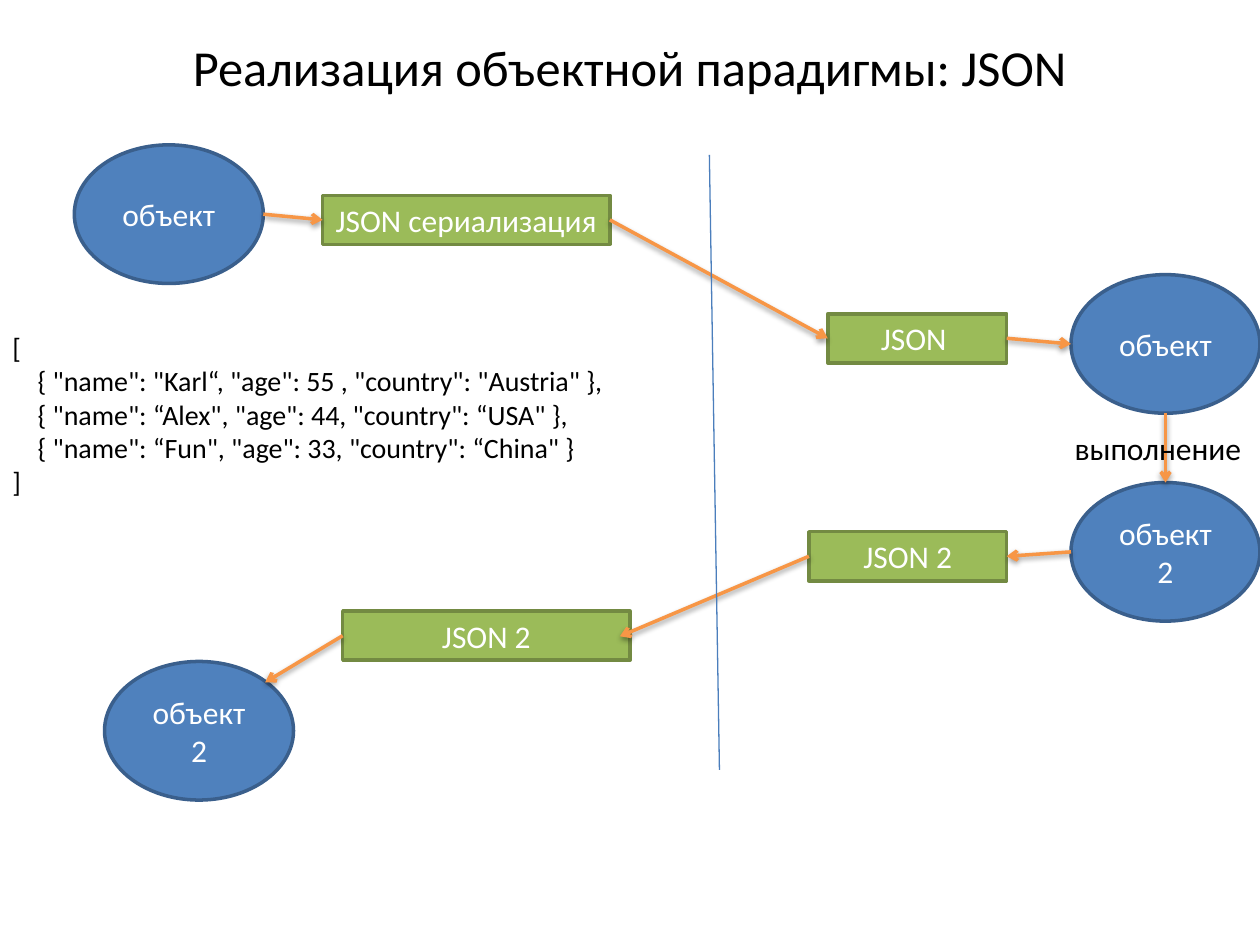
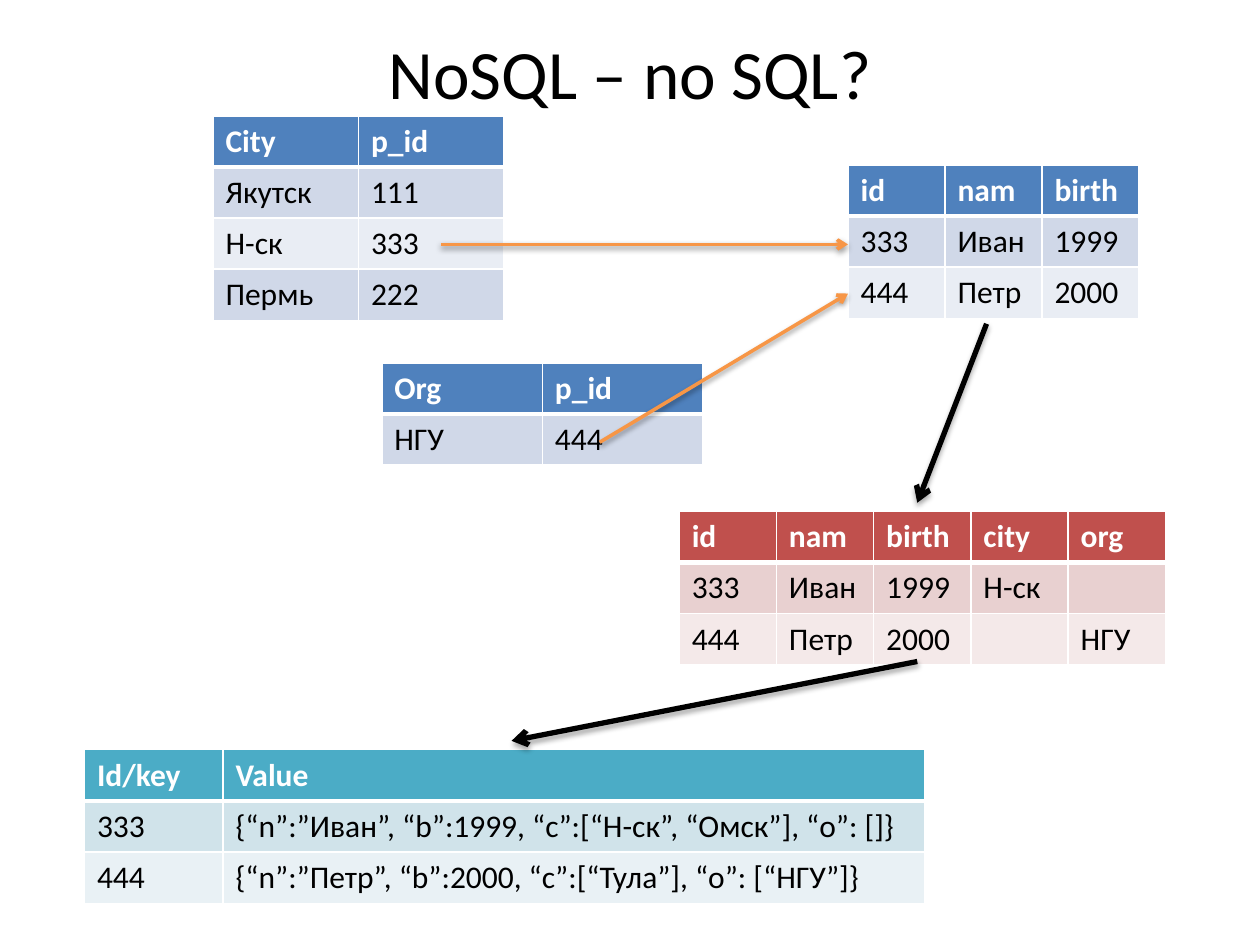
from dataclasses import dataclass
from typing import NamedTuple

from lxml import etree
from pptx import Presentation
from pptx.dml.color import RGBColor
from pptx.enum.shapes import MSO_CONNECTOR, MSO_SHAPE
from pptx.enum.text import MSO_ANCHOR, MSO_AUTO_SIZE, PP_ALIGN
from pptx.oxml.ns import qn
from pptx.util import Inches, Pt

STRAIGHT = MSO_CONNECTOR.STRAIGHT
OVAL, RECT = MSO_SHAPE.OVAL, MSO_SHAPE.RECTANGLE
MIDDLE, TOP = MSO_ANCHOR.MIDDLE, MSO_ANCHOR.TOP
CENTER, LEFT = PP_ALIGN.CENTER, PP_ALIGN.LEFT
FIXED, GROW = MSO_AUTO_SIZE.NONE, MSO_AUTO_SIZE.SHAPE_TO_FIT_TEXT

COLUMNS, ROWS = 100, 75
CELL = Inches(0.1)  # side of one square of the slide grid
ROW_HEIGHT = 4


@dataclass(frozen=True)
class Palette:
    head: str
    band: str
    light: str


@dataclass(frozen=True)
class Theme:
    font: str = "Calibri"
    title: float = 28.8
    big_title: float = 39.6
    body: float = 18
    code: float = 16
    black: str = "000000"
    white: str = "FFFFFF"
    blue: Palette = Palette("4F81BD", "D0D8E8", "E9EDF4")
    red: Palette = Palette("C0504D", "E8D0D0", "F4E9E9")
    teal: Palette = Palette("4BACC6", "D0E3EA", "E9F1F5")


THEME = Theme()


class Box(NamedTuple):
    """Area in grid columns and rows."""
    x: float
    y: float
    w: float
    h: float


class Point(NamedTuple):
    x: float
    y: float


@dataclass(frozen=True)
class NodeStyle:
    shape: int
    fill: str
    line: str
    w: float
    h: float


OBJECT = NodeStyle(OVAL, THEME.blue.head, "3A5F8C", 15, 11)
JSON_BOX = NodeStyle(RECT, "9BBB59", "738A42", 22.8, 3.9)


@dataclass(frozen=True)
class Node:
    text: str
    x: float
    y: float
    style: NodeStyle
    w: float = 0

    @property
    def box(self) -> Box:
        return Box(self.x, self.y, self.w or self.style.w, self.style.h)


class Port(NamedTuple):
    """A named node and the side where an arrow touches it."""
    node: str
    side: str


@dataclass(frozen=True)
class LineStyle:
    color: str
    width: float
    arrow: bool = True
    shadow: tuple[int, int] = ()  # distance in EMU, opacity in percent


FLOW = LineStyle("F79646", 2, shadow=(20000, 38))
STEP = LineStyle(THEME.black, 3, shadow=(23000, 35))
DIVIDER = LineStyle("4B7EBC", 0.75, arrow=False)


@dataclass(frozen=True)
class Link:
    start: Point | Port
    end: Point | Port
    style: LineStyle = FLOW


@dataclass(frozen=True)
class Grid:
    x: float
    y: float
    widths: list[float]
    palette: Palette
    rows: list[list[str]]
    row_height: float = ROW_HEIGHT


# Side: share of the width, share of the height, connection site of a rectangle
SIDES = {"top": (0.5, 0, 0), "left": (0, 0.5, 1), "bottom": (0.5, 1, 2),
         "right": (1, 0.5, 3), "upper right": (0.85, 0.15, None)}

NODES = {
    "source": Node("объект", 5.9, 11.5, OBJECT),
    "serialized": Node("JSON сериализация", 25.6, 15.5, JSON_BOX),
    "received": Node("JSON ", 65.7, 24.9, JSON_BOX, 14.2),
    "remote": Node("объект", 85, 21.8, OBJECT),
    "result": Node("объект\v2", 85, 38.3, OBJECT),
    "reply": Node("JSON 2", 64.2, 42.2, JSON_BOX, 15.7),
    "returned": Node("JSON 2", 27.2, 48.5, JSON_BOX),
    "restored": Node("объект\v2", 8.3, 52.5, OBJECT),
}

NODE_LINKS = [
    Link(Port("source", "right"), Port("serialized", "left")),
    Link(Port("serialized", "right"), Port("received", "left")),
    Link(Port("received", "right"), Port("remote", "left")),
    Link(Port("remote", "bottom"), Port("result", "top")),
    Link(Port("returned", "left"), Port("restored", "upper right")),
    Link(Port("reply", "left"), Point(49.2, 50.5)),
    Link(Port("result", "left"), Port("reply", "right")),
    Link(Point(56.3, 12.3), Point(57.1, 61.1), DIVIDER),
]

CODE = """[
    { "name": "Karl“, "age": 55 , "country": "Austria" },
    { "name": “Alex", "age": 44, "country": “USA" },
    { "name": “Fun", "age": 33, "country": “China" }
]"""

TABLES = [
    Grid(67.3, 13.1, [7.7] * 3, THEME.blue,
         [["id", "nam", "birth"], ["333", "Иван", "1999"], ["444", "Петр", "2000"]]),
    Grid(16.9, 9.2, [11.55] * 2, THEME.blue,
         [["City", "p_id"], ["Якутск", "111"], ["Н-ск", "333"], ["Пермь", "222"]]),
    Grid(30.3, 28.8, [12.75] * 2, THEME.blue, [["Org", "p_id"], ["НГУ", "444"]]),
    Grid(53.9, 40.6, [7.72] * 5, THEME.red,
         [["id", "nam", "birth", "city", "org"],
          ["333", "Иван", "1999", "Н-ск", ""],
          ["444", "Петр", "2000", "", "НГУ"]]),
    Grid(6.7, 59.5, [11, 55.7], THEME.teal,
         [["Id/key", "Value"],
          ["333", "{“n”:”Иван”, “b”:1999, “c”:[“Н-ск”, “Омск”], “o”: []}"],
          ["444", "{“n”:”Петр”, “b”:2000, “c”:[“Тула”], “o”: [“НГУ”]}"]], 4.07),
]

TABLE_LINKS = [
    Link(Point(35, 19.4), Point(67.3, 19.4)),
    Link(Point(47.6, 35.1), Point(67.3, 23.3)),
    Link(Point(78.3, 25.7), Point(72.8, 39.9), STEP),
    Link(Point(72.8, 52.5), Point(40.6, 58.8), STEP),
]


def emu(*cells: float) -> list[int]:
    return [round(n * CELL) for n in cells]


def rgb(color: str) -> RGBColor:
    return RGBColor.from_string(color)


def write(tf, text: str, size: float, color: str, align=LEFT, bold: bool = False) -> None:
    tf.text = text
    for p in tf.paragraphs:
        p.alignment = align
        for r in p.runs:
            for name, value in {"name": THEME.font, "size": Pt(size), "bold": bold}.items():
                setattr(r.font, name, value)
            r.font.color.rgb = rgb(color)


def set_frame(tf, anchor=MIDDLE, auto_size=FIXED) -> None:
    frame = {"word_wrap": True, "vertical_anchor": anchor, "auto_size": auto_size}
    for name, value in frame.items():
        setattr(tf, name, value)


def add_titled_slide(prs, text: str, size: float, height: float):
    slide = prs.slides.add_slide(prs.slide_layouts[5])
    sp = slide.shapes.title
    sp.left, sp.top, sp.width, sp.height = emu(5, 3, 90, height)
    write(sp.text_frame, text, size, THEME.black, CENTER)
    set_frame(sp.text_frame)
    return slide


def add_node(slide, node: Node):
    sp = slide.shapes.add_shape(node.style.shape, *emu(*node.box))
    sp.shadow.inherit = False
    sp.fill.solid()
    sp.fill.fore_color.rgb = rgb(node.style.fill)
    sp.line.color.rgb = rgb(node.style.line)
    sp.line.width = Pt(2)
    write(sp.text_frame, node.text, THEME.body, THEME.white, CENTER)
    set_frame(sp.text_frame)
    return sp


def add_text(slide, box: Box, text: str, size: float) -> None:
    tf = slide.shapes.add_textbox(*emu(*box)).text_frame
    write(tf, text, size, THEME.black)
    set_frame(tf, TOP, GROW)


def locate(end: Point | Port) -> Point:
    if isinstance(end, Point):
        return end
    box = NODES[end.node].box
    across, down, _ = SIDES[end.side]
    return Point(box.x + across * box.w, box.y + down * box.h)


def add_link(slide, link: Link, shapes: dict) -> None:
    """Draw a line, joining it to the rectangles it touches."""
    c = slide.shapes.add_connector(STRAIGHT, *emu(*locate(link.start), *locate(link.end)))
    for end, connect in ((link.start, c.begin_connect), (link.end, c.end_connect)):
        if isinstance(end, Port) and NODES[end.node].style.shape == RECT:
            connect(shapes[end.node], SIDES[end.side][2])
    style = link.style
    c.line.color.rgb = rgb(style.color)
    c.line.width = Pt(style.width)
    props = c.element.spPr
    if style.arrow:
        etree.SubElement(props.find(qn("a:ln")), qn("a:tailEnd"), type="arrow")
    effects = etree.SubElement(props, qn("a:effectLst"))
    if style.shadow:
        dist, opacity = style.shadow
        shadow = etree.SubElement(effects, qn("a:outerShdw"), blurRad="40000",
                                  dist=str(dist), dir="5400000", rotWithShape="0")
        tint = etree.SubElement(shadow, qn("a:srgbClr"), val=THEME.black)
        etree.SubElement(tint, qn("a:alpha"), val=str(opacity * 1000))


def set_borders(cell, row: int) -> None:
    """White rules, thicker between the header and the first row below it."""
    widths = {"L": 1, "R": 1, "T": 3 if row == 1 else 1, "B": 3 if row == 0 else 1}
    props = cell._tc.get_or_add_tcPr()
    for side, width in widths.items():
        ln = etree.SubElement(props, qn(f"a:ln{side}"), w=str(Pt(width)))
        fill = etree.SubElement(ln, qn("a:solidFill"))
        etree.SubElement(fill, qn("a:srgbClr"), val=THEME.white)


def add_grid(slide, grid: Grid) -> None:
    count, height = len(grid.rows), grid.row_height
    box = Box(grid.x, grid.y, sum(grid.widths), count * height)
    table = slide.shapes.add_table(count, len(grid.widths), *emu(*box)).table
    for column, width in zip(table.columns, emu(*grid.widths)):
        column.width = width
    for i, texts in enumerate(grid.rows):
        table.rows[i].height = emu(height)[0]
        header = i == 0
        bands = (grid.palette.light, grid.palette.band)
        for cell, text in zip(table.rows[i].cells, texts):
            set_borders(cell, i)
            cell.fill.solid()
            cell.fill.fore_color.rgb = rgb(grid.palette.head if header else bands[i % 2])
            write(cell.text_frame, text, THEME.body,
                  THEME.white if header else THEME.black, bold=header)


def build_json_slide(prs) -> None:
    slide = add_titled_slide(prs, "Реализация объектной парадигмы: JSON", THEME.title, 4.6)
    shapes = {name: add_node(slide, node) for name, node in NODES.items()}
    for link in NODE_LINKS:
        add_link(slide, link, shapes)
    add_text(slide, Box(84.3, 33.6, 15.7, 4), "выполнение", THEME.body)
    add_text(slide, Box(0, 25.7, 56.3, 14.5), CODE, THEME.code)


def build_nosql_slide(prs) -> None:
    slide = add_titled_slide(prs, "NoSQL – no SQL?", THEME.big_title, 5.4)
    for grid in TABLES:
        add_grid(slide, grid)
    for link in TABLE_LINKS:
        add_link(slide, link, {})


def main() -> None:
    prs = Presentation()
    prs.slide_width, prs.slide_height = emu(COLUMNS, ROWS)
    build_json_slide(prs)
    build_nosql_slide(prs)
    prs.save("out.pptx")


if __name__ == "__main__":
    main()
